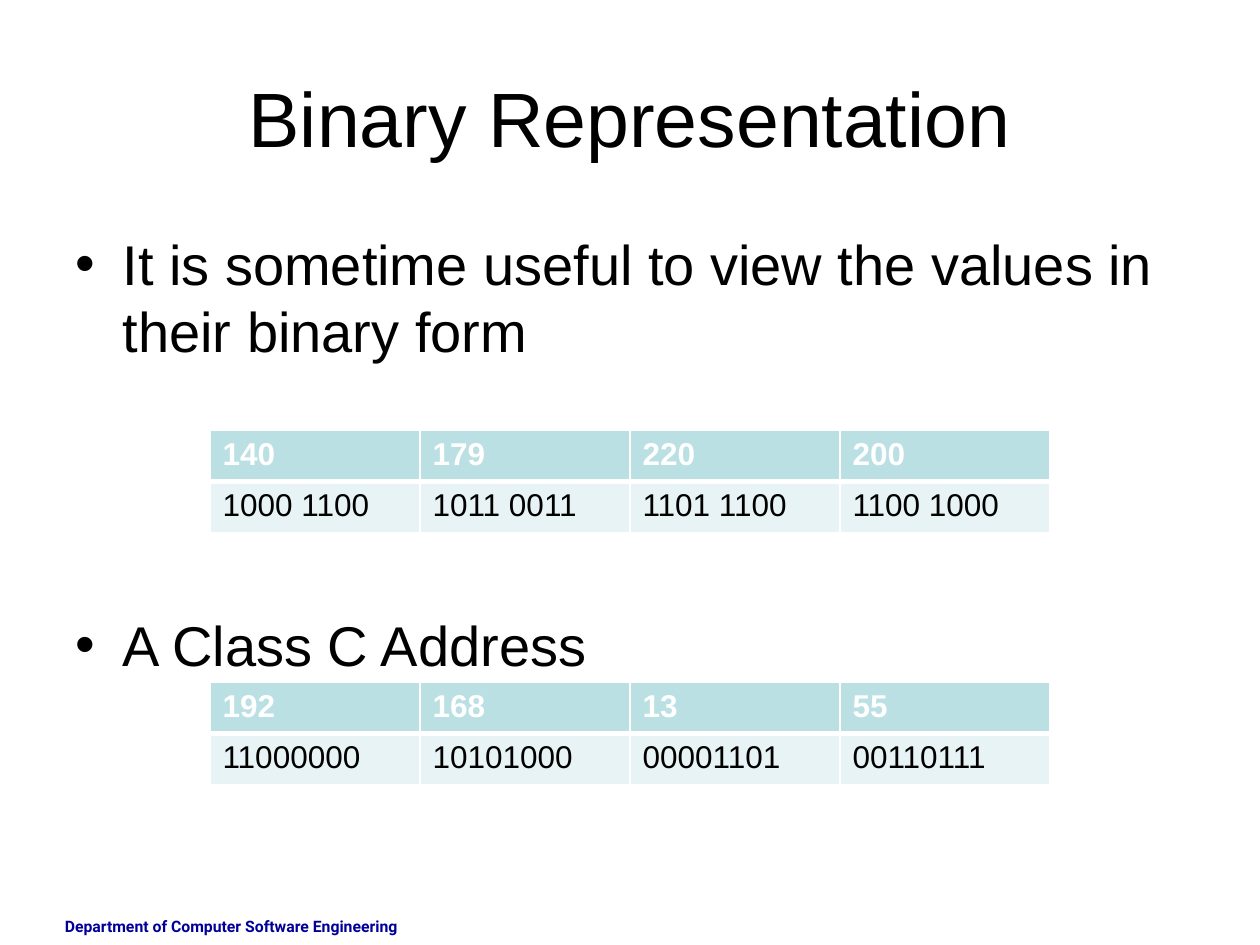
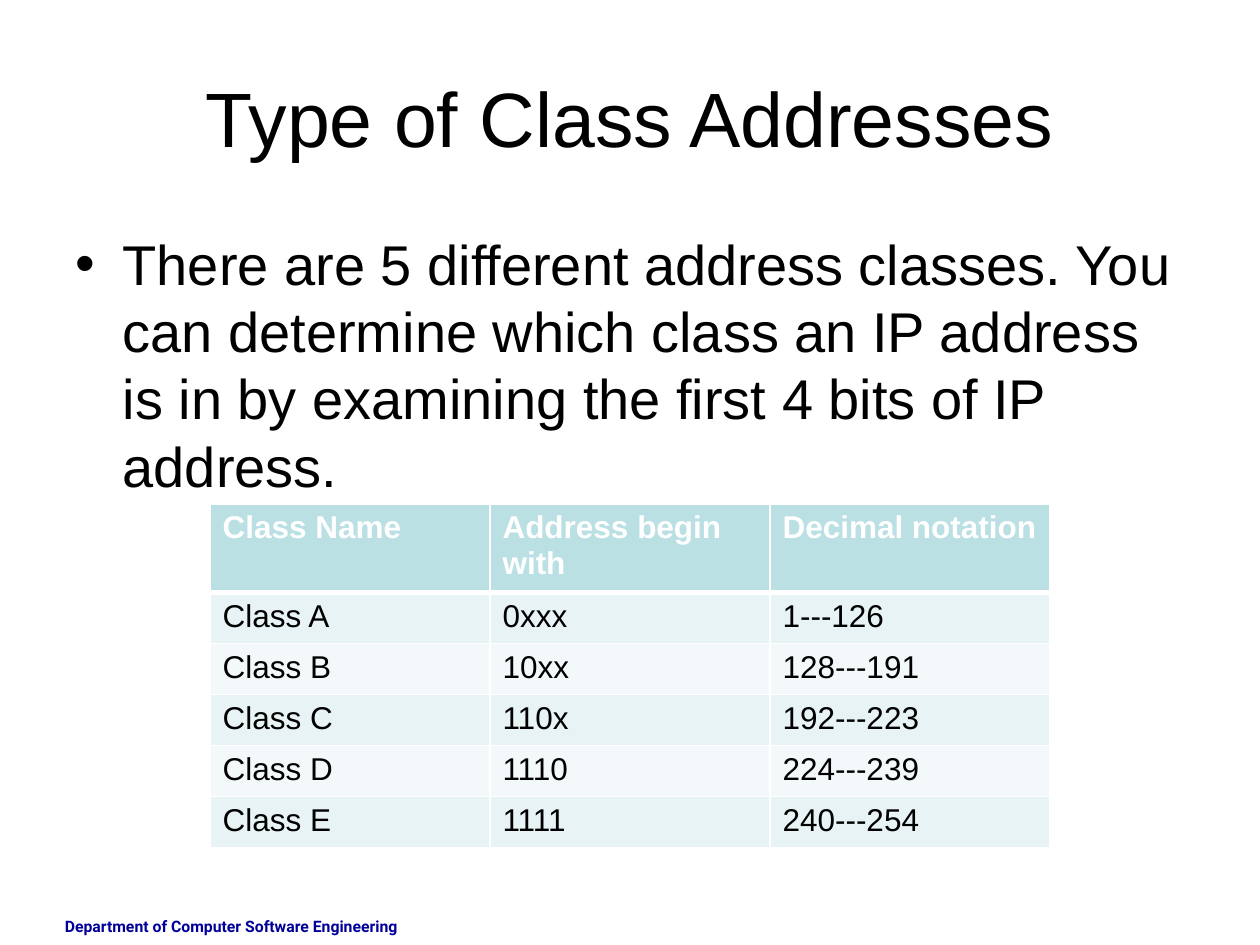
import pptx
import pptx.util
import pptx.dml.color
import pptx.enum.text
import pptx.oxml.ns
import lxml.etree

Pt = pptx.util.Pt
ALIGN = pptx.enum.text.PP_ALIGN
ANCHOR = pptx.enum.text.MSO_ANCHOR

# Shared text formats
TITLE = {"name": "Arial", "size": Pt(44), "color": "000000"}
BODY = {"name": "Arial", "size": Pt(32), "color": "000000"}
FOOTER = {"name": "Roboto", "size": Pt(9), "bold": True, "color": "000099"}
TABLE_HEAD = {"name": "Arial", "size": Pt(18), "bold": True, "color": "FFFFFF"}
TABLE_BODY = TABLE_HEAD | {"bold": False, "color": "000000"}

# Shared colours and measures, in points
HEAD_FILL = "BBE0E3"
BAND_FILLS = ["E7F3F4", "F3F9FA"]
BORDER = "FFFFFF"
TABLE_LEFT, TABLE_WIDTH, ROW_HEIGHT = 120, 480, 29.2
BODY_LINE, BODY_GAP, BODY_INDENT = 38.5, 6.4, 27


def rgb(color):
    return pptx.dml.color.RGBColor.from_string(color)


def set_values(target, values):
    for name, value in values.items():
        setattr(target, name, value)


def add_xml(parent, tag, **attributes):
    return lxml.etree.SubElement(parent, pptx.oxml.ns.qn(tag), attributes)


class Deck:
    def __init__(self):
        self.presentation = pptx.Presentation()
        self.presentation.slide_width = Pt(720)
        self.presentation.slide_height = Pt(540)
        self.slide = None

    def new_slide(self, title):
        """Start a slide with its footer and title."""
        self.slide = self.presentation.slides.add_slide(self.presentation.slide_layouts[6])
        footer = self.text_frame(30, 520.5, 222, 19.5)
        self.add_text(footer.paragraphs[0], "Department of Computer Software Engineering", FOOTER)
        heading = self.text_frame(36, 21.6, 648, 90, vertical_anchor=ANCHOR.MIDDLE)
        self.add_text(heading.paragraphs[0], title, TITLE, alignment=ALIGN.CENTER)

    def text_frame(self, left, top, width, height, **values):
        box = self.slide.shapes.add_textbox(Pt(left), Pt(top), Pt(width), Pt(height))
        set_values(box.text_frame, {"word_wrap": True} | values)
        return box.text_frame

    def add_text(self, paragraph, text, style, **values):
        set_values(paragraph, values)
        run = paragraph.add_run()
        run.text = text
        set_values(run.font, {name: value for name, value in style.items() if name != "color"})
        run.font.color.rgb = rgb(style["color"])

    def bullets(self, texts, skipped_lines=0):
        """Add bullets, leaving room for a number of lines between them."""
        frame = self.text_frame(36, 126, 648, 356.4, margin_top=Pt(4.9))
        gap = BODY_GAP + skipped_lines * (BODY_LINE + BODY_GAP)
        for index, text in enumerate(texts):
            paragraph = frame.add_paragraph() if index else frame.paragraphs[0]
            properties = paragraph._p.get_or_add_pPr()
            properties.set("marL", str(Pt(BODY_INDENT)))
            properties.set("indent", str(-Pt(BODY_INDENT)))
            add_xml(properties, "a:buFont", typeface="Arial")
            add_xml(properties, "a:buChar", char="•")
            self.add_text(paragraph, text, BODY, line_spacing=Pt(BODY_LINE),
                          space_before=Pt(gap if index else 0))

    def table(self, top, rows):
        """Draw a table with equal columns, a header and banded rows."""
        column_count = len(rows[0])
        table = self.slide.shapes.add_table(
            len(rows), column_count, Pt(TABLE_LEFT), Pt(top),
            Pt(TABLE_WIDTH), Pt(ROW_HEIGHT * len(rows))).table
        for column in table.columns:
            column.width = Pt(TABLE_WIDTH / column_count)
        for row_index, row in enumerate(rows):
            table.rows[row_index].height = Pt(ROW_HEIGHT)
            header = row_index == 0
            fill = HEAD_FILL if header else BAND_FILLS[(row_index - 1) % 2]
            for column_index, text in enumerate(row):
                cell = table.cell(row_index, column_index)
                self.borders(cell, top=3 if row_index == 1 else 1, bottom=3 if header else 1)
                cell.fill.solid()
                cell.fill.fore_color.rgb = rgb(fill)
                self.add_text(cell.text_frame.paragraphs[0], text,
                              TABLE_HEAD if header else TABLE_BODY)

    def borders(self, cell, top, bottom):
        properties = cell._tc.get_or_add_tcPr()
        for side, width in {"L": 1, "R": 1, "T": top, "B": bottom}.items():
            line = add_xml(properties, "a:ln" + side, w=str(Pt(width)))
            add_xml(add_xml(line, "a:solidFill"), "a:srgbClr", val=BORDER)


def main():
    deck = Deck()

    # Decimal addresses and their binary form
    deck.new_slide("Binary Representation")
    deck.bullets(["It is sometime useful to view the values in their binary form",
                  "A Class C Address"], skipped_lines=3)
    deck.table(246, [["140", "179", "220", "200"],
                     ["1000 1100", "1011 0011", "1101 1100", "1100 1000"]])
    deck.table(390, [["192", "168", "13", "55"],
                     ["11000000", "10101000", "00001101", "00110111"]])

    # Address classes
    deck.new_slide("Type of Class Addresses")
    deck.bullets(["There are 5 different address classes. You can determine which class "
                  "an IP address is in by examining the first 4 bits of IP address."])
    deck.table(288, [["Class Name", "Address begin with", "Decimal notation"],
                     ["Class A", "0xxx", "1---126"],
                     ["Class B", "10xx", "128---191"],
                     ["Class C", "110x", "192---223"],
                     ["Class D", "1110", "224---239"],
                     ["Class E", "1111", "240---254"]])

    deck.presentation.save("out.pptx")


if __name__ == "__main__":
    main()
